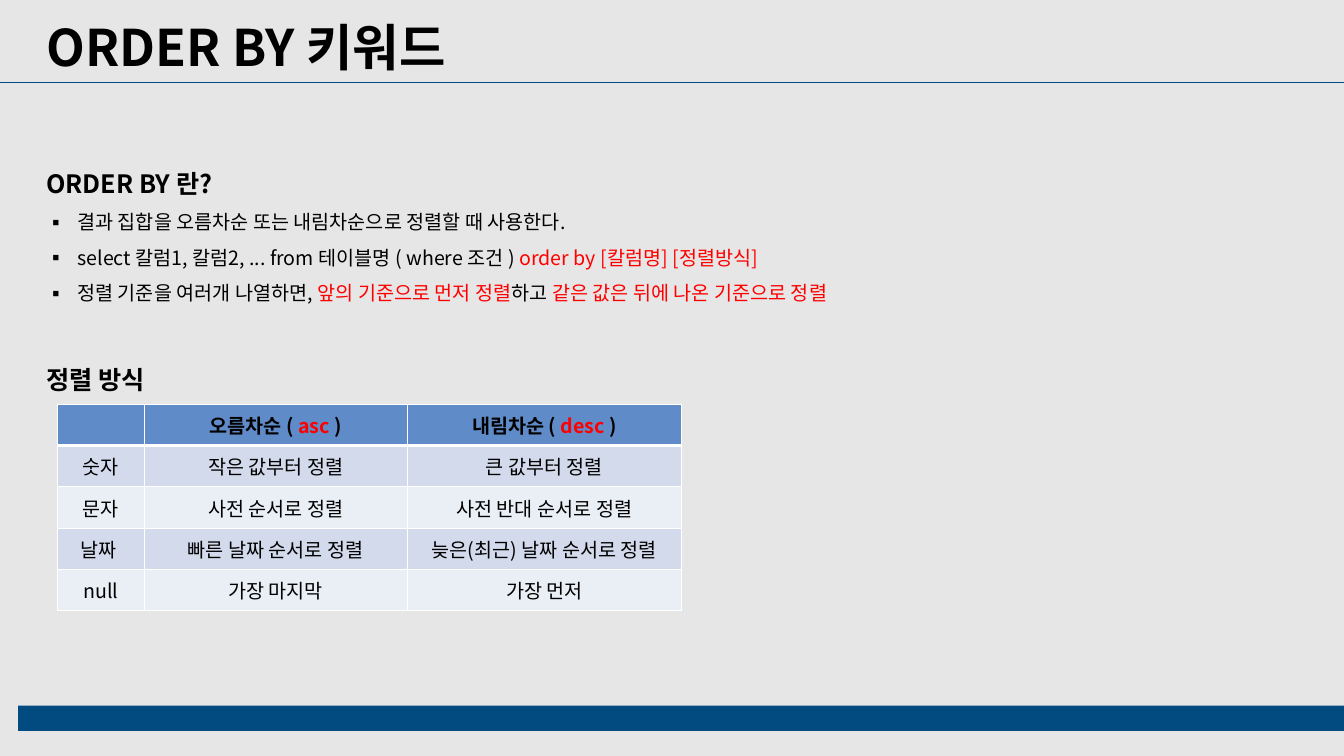
import pptx
import pptx.dml.color
import pptx.enum.shapes
import pptx.enum.text
import pptx.oxml.ns
import pptx.util
from lxml import etree
from pptx.util import Inches

FONT = "Noto Sans CJK KR"
BLACK, RED, NAVY, WHITE = "000000", "FF0000", "024B80", "FFFFFF"
HEADER_FILL, BAND_FILLS = "5F8BC8", ("D2DAEB", "EAEEF5")

BULLETS = [
    [("결과 집합을 오름차순 또는 내림차순으로 정렬할 때 사용한다.", BLACK)],
    [("select 칼럼1, 칼럼2, ... from 테이블명 ( where 조건 ) ", BLACK),
     ("order by [칼럼명] [정렬방식]", RED)],
    [("정렬 기준을 여러개 나열하면, ", BLACK), ("앞의 기준으로 먼저 정렬", RED),
     ("하고 ", BLACK), ("같은 값은 뒤에 나온 기준으로 정렬", RED)],
]
COLUMN_WIDTHS = (0.86, 2.61, 2.72)
ROW_HEIGHT = 0.41
HEADER = [
    [],
    [("오름차순 ( ", BLACK), ("asc", RED), (" )", BLACK)],
    [("내림차순 ( ", BLACK), ("desc", RED), (" )", BLACK)],
]
ROWS = [
    ("숫자", "작은 값부터 정렬", "큰 값부터 정렬"),
    ("문자", "사전 순서로 정렬", "사전 반대 순서로 정렬"),
    ("날짜 ", "빠른 날짜 순서로 정렬", "늦은(최근) 날짜 순서로 정렬"),
    ("null", "가장 마지막", "가장 먼저"),
]


def color(value):
    return pptx.dml.color.RGBColor.from_string(value)


def add_child(parent, tag, **attributes):
    return etree.SubElement(parent, pptx.oxml.ns.qn(tag), attributes)


def fill_solid(target, value):
    target.fill.solid()
    target.fill.fore_color.rgb = color(value)


def add_runs(paragraph, runs, size, bold=False):
    for text, text_color in runs:
        run = paragraph.add_run()
        run.text = text
        run.font.size = pptx.util.Pt(size)
        run.font.bold = bold
        run.font.name = FONT
        run.font.color.rgb = color(text_color)
        add_child(run.font._element, "a:ea", typeface=FONT)


def add_title(slide, text):
    title = slide.shapes.title
    title.left, title.top = Inches(0.36), Inches(0.11)
    title.width, title.height = Inches(8.71), Inches(0.71)
    frame = title.text_frame
    frame.auto_size = pptx.enum.text.MSO_AUTO_SIZE.SHAPE_TO_FIT_TEXT
    frame.vertical_anchor = pptx.enum.text.MSO_ANCHOR.TOP
    frame.paragraphs[0].alignment = pptx.enum.text.PP_ALIGN.LEFT
    add_runs(frame.paragraphs[0], [(text, BLACK)], 36, True)


def add_footer_bar(slide):
    bar = slide.shapes.add_shape(
        pptx.enum.shapes.MSO_SHAPE.RECTANGLE,
        Inches(0.18), Inches(7), Inches(13.15), Inches(0.25))
    bar.shadow.inherit = False
    fill_solid(bar, NAVY)
    bar.line.fill.background()


def add_title_rule(slide):
    rule = slide.shapes.add_connector(
        pptx.enum.shapes.MSO_CONNECTOR.STRAIGHT,
        Inches(0), Inches(0.82), Inches(13.33), Inches(0.82))
    rule.line.color.rgb = color(NAVY)
    rule.line.width = pptx.util.Pt(0.5)
    add_child(rule._element.spPr, "a:effectLst")


def add_heading(paragraph, text, space_before=0):
    paragraph.line_spacing = 1.5
    if space_before:
        paragraph.space_before = pptx.util.Pt(space_before)
    add_runs(paragraph, [(text, BLACK)], 18, True)


def add_bullet(paragraph, runs):
    properties = paragraph._p.get_or_add_pPr()
    properties.set("marL", str(Inches(0.31)))
    properties.set("indent", str(Inches(-0.31)))
    add_child(properties, "a:buFont", typeface=FONT)
    add_child(properties, "a:buChar", char="▪")
    paragraph.line_spacing = 1.5
    add_runs(paragraph, runs, 14)


def add_explanation(slide):
    box = slide.shapes.add_textbox(
        Inches(0.36), Inches(1.47), Inches(9.47), Inches(2.47))
    frame = box.text_frame
    frame.word_wrap = True
    add_heading(frame.paragraphs[0], "ORDER BY 란?")
    for runs in BULLETS:
        add_bullet(frame.add_paragraph(), runs)
    add_heading(frame.add_paragraph(), "정렬 방식", 32)


def set_borders(cell, top, bottom):
    properties = cell._tc.get_or_add_tcPr()
    for side, width in (("L", 1), ("R", 1), ("T", top), ("B", bottom)):
        line = add_child(properties, f"a:ln{side}", w=str(pptx.util.Pt(width)))
        add_child(add_child(line, "a:solidFill"), "a:srgbClr", val=WHITE)


def format_cell(cell, runs, fill, bold=False, top=1, bottom=1):
    set_borders(cell, top, bottom)
    fill_solid(cell, fill)
    cell.vertical_anchor = pptx.enum.text.MSO_ANCHOR.MIDDLE
    paragraph = cell.text_frame.paragraphs[0]
    paragraph.alignment = pptx.enum.text.PP_ALIGN.CENTER
    add_runs(paragraph, runs, 14, bold)


def add_sort_table(slide):
    row_count = len(ROWS) + 1
    table = slide.shapes.add_table(
        row_count, len(COLUMN_WIDTHS), Inches(0.57), Inches(4.01),
        Inches(sum(COLUMN_WIDTHS)), Inches(ROW_HEIGHT * row_count)).table
    for column, width in zip(table.columns, COLUMN_WIDTHS):
        column.width = Inches(width)
    for row in table.rows:
        row.height = Inches(ROW_HEIGHT)
    for column, runs in enumerate(HEADER):
        format_cell(table.cell(0, column), runs, HEADER_FILL, True, bottom=3)
    for row, texts in enumerate(ROWS):
        for column, text in enumerate(texts):
            format_cell(table.cell(row + 1, column), [(text, BLACK)],
                        BAND_FILLS[row % 2], top=1 if row else 3)


def main():
    presentation = pptx.Presentation()
    presentation.slide_width = Inches(13.33)
    presentation.slide_height = Inches(7.5)
    slide = presentation.slides.add_slide(presentation.slide_layouts[5])
    fill_solid(slide.background, "E7E6E6")
    add_footer_bar(slide)
    add_title(slide, "ORDER BY 키워드")
    add_title_rule(slide)
    add_explanation(slide)
    add_sort_table(slide)
    presentation.save("out.pptx")


if __name__ == "__main__":
    main()
